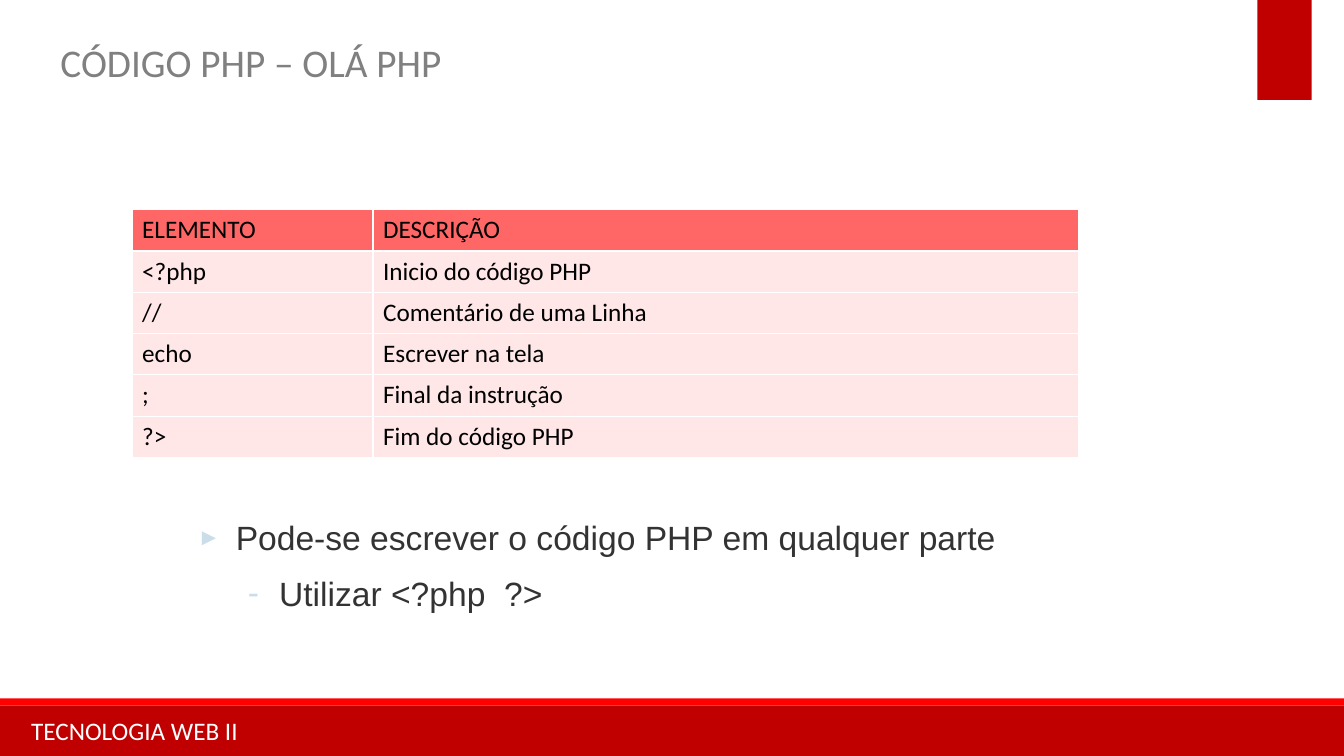
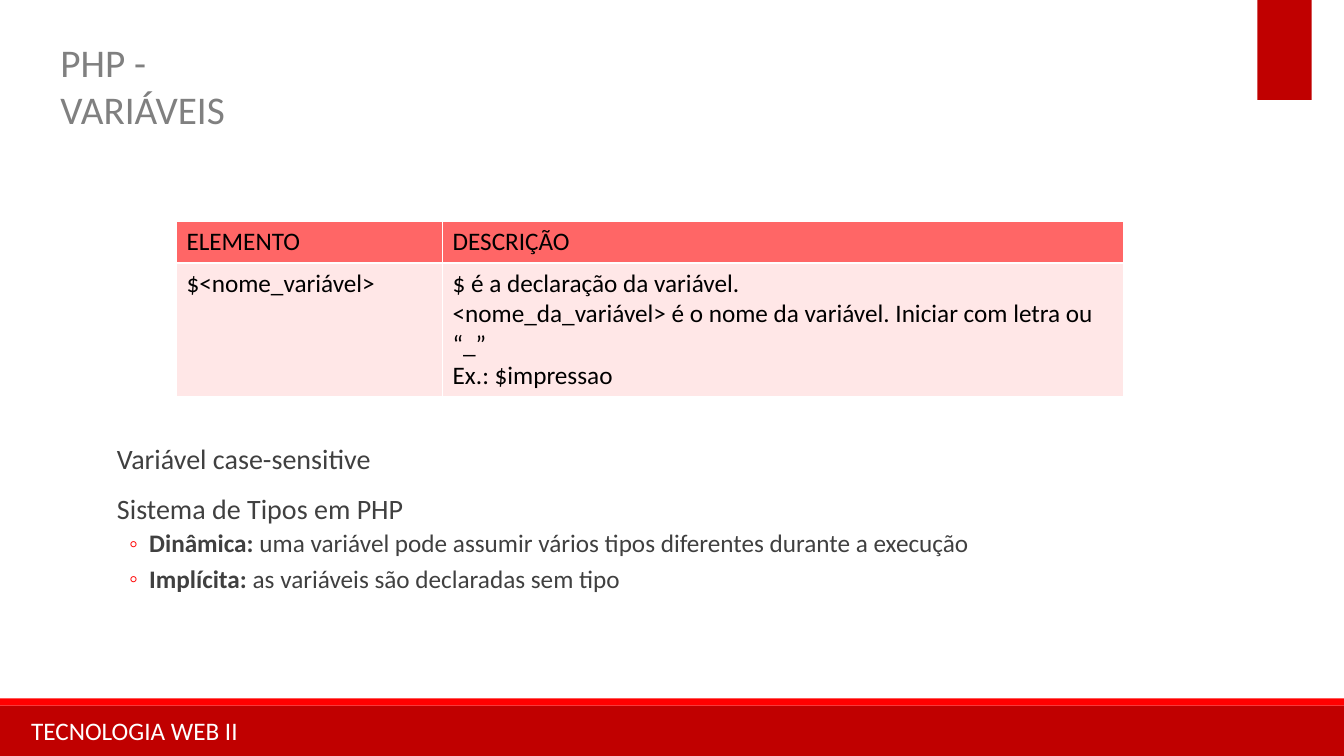
from lxml.etree import SubElement
from pptx import Presentation
from pptx.dml.color import RGBColor
from pptx.enum.shapes import MSO_SHAPE
from pptx.enum.text import MSO_ANCHOR, MSO_AUTO_SIZE, PP_ALIGN
from pptx.oxml.ns import qn
from pptx.util import Inches, Pt

DARK_RED = RGBColor(0xC0, 0x00, 0x00)
RED = RGBColor(0xFF, 0x00, 0x00)
HEADER_RED = RGBColor(0xFF, 0x66, 0x66)
PALE_RED = RGBColor(0xFF, 0xE7, 0xE7)
PALE_BLUE = RGBColor(0xCC, 0xDD, 0xEA)
TITLE_GRAY = RGBColor(0x80, 0x80, 0x80)
BODY_GRAY = RGBColor(0x40, 0x40, 0x40)
CHARCOAL = RGBColor(0x33, 0x33, 0x33)
WHITE = RGBColor(0xFF, 0xFF, 0xFF)
BLACK = RGBColor(0x00, 0x00, 0x00)

SLIDE_SIZE = (13.33, 7.5)
ROW_HEIGHT = 0.41
FOOTER = "TECNOLOGIA WEB II"
BANDS = [  # left, top, width, height, colour
    (0, 7, 13.33, 0.5, DARK_RED),
    (0, 6.93, 13.33, 0.07, RED),
    (12.47, 0, 0.54, 0.99, DARK_RED),
]
HEADINGS = ("ELEMENTO", "DESCRIÇÃO")

ARROW_POINT = dict(size=24, font="Arial", color=CHARCOAL, before=5.5, after=5.5,
                   line=1.2, margin=0.38, hang=0.38, bullet="►",
                   bullet_color=PALE_BLUE, bullet_size=70)
DASH_POINT = dict(ARROW_POINT, line=1.0, margin=0.81, hang=0.31, bullet="-",
                  bullet_size=100, level=1)
STATEMENT = dict(size=20, color=BODY_GRAY, before=12, after=2, line=0.9, margin=0.1)
RING_POINT = dict(size=18, color=BODY_GRAY, before=2, after=4, line=0.9, margin=0.42,
                  hang=0.2, bullet="◦", bullet_color=RED, level=1)

SLIDES = [
    dict(
        title="CÓDIGO PHP – OLÁ PHP",
        title_width=4.4,
        table_at=(1.31, 2.08),
        columns=(2.39, 7),
        rows=[
            ("<?php", "Inicio do código PHP"),
            ("//", "Comentário de uma Linha"),
            ("echo", "Escrever na tela"),
            (";", "Final da instrução"),
            ("?>", "Fim do código PHP"),
        ],
        body_at=(1.86, 5, 9.39, 1.98),
        body_inset=0.1,
        body=[
            ("", "Pode-se escrever o código PHP em qualquer parte", ARROW_POINT),
            ("", "Utilizar <?php  ?>", DASH_POINT),
        ],
    ),
    dict(
        title="PHP - VARIÁVEIS",
        title_width=2.4,
        table_at=(1.75, 2.2),
        columns=(2.64, 6.75),
        rows=[
            ("$<nome_variável>",
             "$ é a declaração da variável.\n"
             "<nome_da_variável> é o nome da variável. Iniciar com letra ou “_”\n"
             "Ex.: $impressao"),
        ],
        last_row_height=1.3,
        body_at=(1.06, 4.37, 9.39, 2.19),
        body_inset=0,
        body=[
            ("", "Variável case-sensitive", STATEMENT),
            ("", "Sistema de Tipos em PHP", STATEMENT),
            ("Dinâmica:", " uma variável pode assumir vários tipos diferentes"
                          " durante a execução", RING_POINT),
            ("Implícita:", " as variáveis são declaradas sem tipo", RING_POINT),
        ],
    ),
]


def write(frame, text, lead="", size=18, font="Calibri", color=BLACK, before=0, after=0,
          line=1.0, level=0, margin=0, hang=0, bullet="", bullet_color=RED,
          bullet_size=100):
    """Add one paragraph to the frame, with an optional bold lead and bullet."""
    paragraph = frame.paragraphs[0]
    if paragraph.runs:
        paragraph = frame.add_paragraph()
    paragraph.alignment = PP_ALIGN.LEFT
    paragraph.level = level
    paragraph.line_spacing = line
    paragraph.space_before, paragraph.space_after = Pt(before), Pt(after)
    for words, bold in ((lead, True), (text, False)):
        if words:
            run = paragraph.add_run()
            run.text = words
            run.font.name, run.font.size, run.font.bold = font, Pt(size), bold
            run.font.color.rgb = color
    properties = paragraph._p.get_or_add_pPr()
    properties.set("marL", str(Inches(margin)))
    properties.set("indent", str(-Inches(hang)))
    if bullet:
        tint = SubElement(properties, qn("a:buClr"))
        SubElement(tint, qn("a:srgbClr")).set("val", str(bullet_color))
        SubElement(properties, qn("a:buSzPct")).set("val", str(bullet_size * 1000))
        SubElement(properties, qn("a:buFont")).set("typeface", "Arial")
        SubElement(properties, qn("a:buChar")).set("char", bullet)


def add_text_area(slide, at):
    area = slide.shapes.add_textbox(*map(Inches, at))
    area.text_frame.word_wrap = True
    return area


def furnish_layout(layout, slide):
    """Draw the bands and footer on a slide, then move them to its layout."""
    furniture = []
    for *at, color in BANDS:
        band = slide.shapes.add_shape(MSO_SHAPE.RECTANGLE, *map(Inches, at))
        band.shadow.inherit = False
        band.fill.solid()
        band.fill.fore_color.rgb = color
        band.line.fill.background()
        furniture.append(band)
    footer = add_text_area(slide, (0.21, 7.05, 7.11, 0.4))
    write(footer.text_frame, FOOTER, color=WHITE)
    for part in furniture + [footer]:
        layout.shapes.element.append(part.element)


def add_title(slide, title, width):
    heading = slide.shapes.title
    heading.left, heading.top = Inches(0.5), Inches(0.33)
    heading.width, heading.height = Inches(width), Inches(0.57)
    frame = heading.text_frame
    frame.auto_size = MSO_AUTO_SIZE.NONE
    frame.word_wrap = True
    frame.vertical_anchor = MSO_ANCHOR.TOP
    write(frame, title, size=28, color=TITLE_GRAY)


def add_elements_table(slide, at, columns, rows, last_row_height=ROW_HEIGHT):
    rows = [HEADINGS] + rows
    heights = [ROW_HEIGHT] * (len(rows) - 1) + [last_row_height]
    size = (sum(columns), sum(heights))
    table = slide.shapes.add_table(len(rows), len(columns),
                                   *map(Inches, at + size)).table
    table.first_row = table.horz_banding = False
    for column, width in zip(table.columns, columns):
        column.width = Inches(width)
    for row, height, texts in zip(table.rows, heights, rows):
        row.height = Inches(height)
        for cell, text in zip(row.cells, texts):
            cell.fill.solid()
            cell.fill.fore_color.rgb = HEADER_RED if texts is HEADINGS else PALE_RED
            for sentence in text.split("\n"):
                write(cell.text_frame, sentence)


def add_body(slide, at, inset, points):
    frame = add_text_area(slide, at).text_frame
    frame.margin_left = frame.margin_right = Inches(inset)
    for lead, text, style in points:
        write(frame, text, lead=lead, **style)


def main():
    deck = Presentation()
    deck.slide_width, deck.slide_height = map(Inches, SLIDE_SIZE)
    layout = deck.slide_layouts.get_by_name("Title Only")
    for number, content in enumerate(SLIDES):
        slide = deck.slides.add_slide(layout)
        if number == 0:
            furnish_layout(layout, slide)
        add_title(slide, content["title"], content["title_width"])
        add_elements_table(slide, content["table_at"], content["columns"], content["rows"],
                           content.get("last_row_height", ROW_HEIGHT))
        add_body(slide, content["body_at"], content["body_inset"], content["body"])
    deck.save("out.pptx")


if __name__ == "__main__":
    main()
